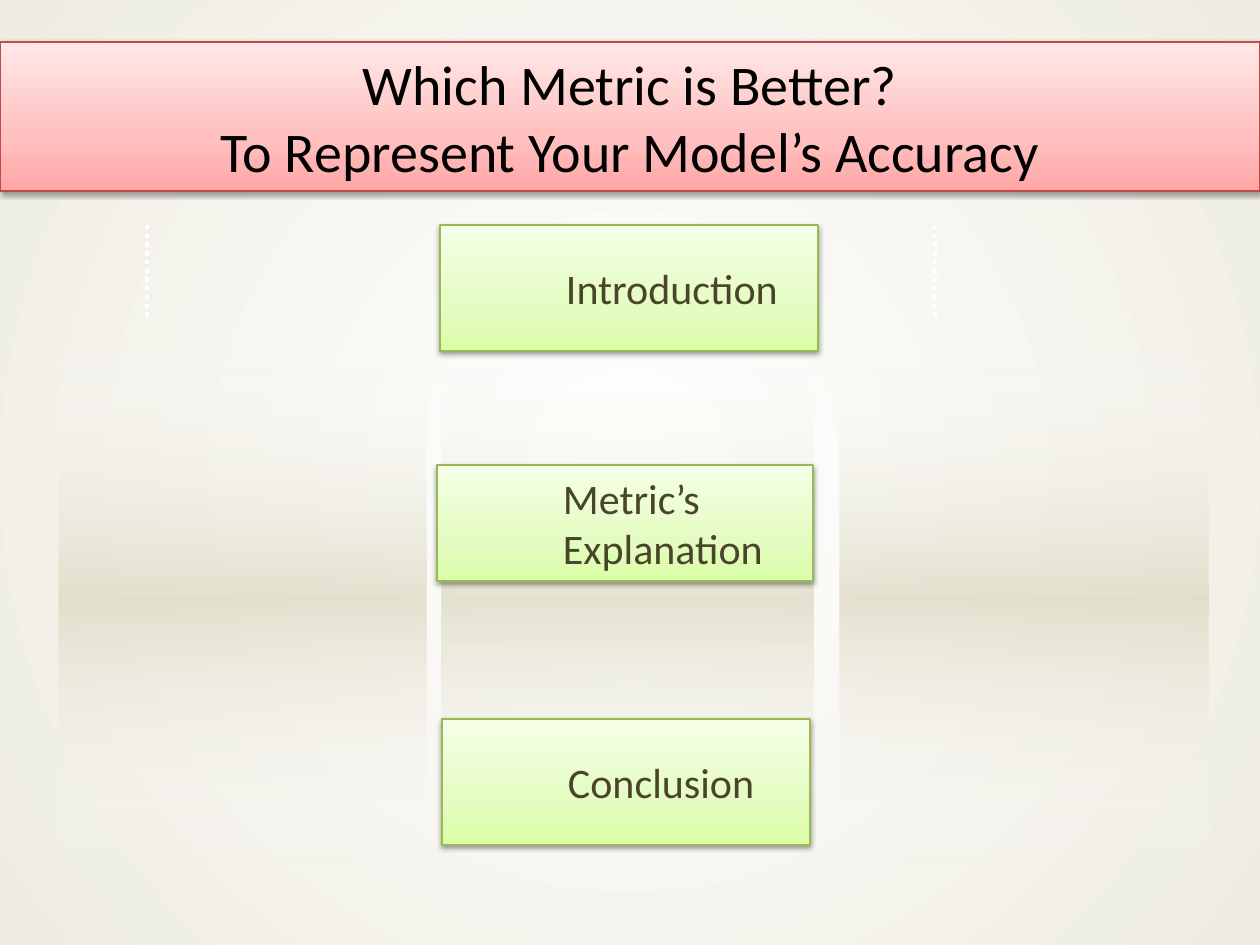
import lxml.etree
import pptx
import pptx.dml.color
import pptx.enum.dml
import pptx.enum.shapes
import pptx.enum.text
import pptx.oxml
import pptx.oxml.ns
import pptx.util

SCALE = 914400 / 126
NS = pptx.oxml.ns.nsdecls("a")
QN = pptx.oxml.ns.qn
RECT = pptx.enum.shapes.MSO_SHAPE.RECTANGLE
ALIGN = pptx.enum.text.PP_ALIGN
DOWN = '<a:lin ang="5400000" scaled="0"/>'
UP = '<a:lin ang="16200000" scaled="0"/>'
RADIAL = ('<a:path path="circle"><a:fillToRect l="50000" t="50000" '
          'r="50000" b="50000"/></a:path>')
PALE = [(0, "FFFFFF", 0), (50, "DDD9C3", 75), (100, "FFFFFF", 0)]
GREEN = [(0, "DAFDA7", 100), (35, "E4FCC2", 100), (100, "F5FFE7", 100)]
RED = [(0, "FFA6A5", 100), (35, "FFC0BF", 100), (100, "FFE7E7", 100)]
PAGE = [(0, "FFFFFF", 100), (100, "EEECE1", 100)]


def px(n):
    """Turn px into EMU."""
    return pptx.util.Emu(round(n * SCALE))


def rgb(value):
    """Turn a hex string into a colour."""
    return pptx.dml.color.RGBColor.from_string(value)


def assign(obj, values):
    """Set attributes from a dict."""
    for name, value in values.items():
        setattr(obj, name, value)


def place(sp, box):
    """Move and size a shape to a px box."""
    assign(sp, dict(zip(("left", "top", "width", "height"), map(px, box))))


def gradient(fill, parent, stops, direction):
    """Give a fill's parent element a gradient."""
    fill.solid()
    gs = "".join(
        f'<a:gs pos="{pos * 1000}"><a:srgbClr val="{color}">'
        f'<a:alpha val="{alpha * 1000}"/></a:srgbClr></a:gs>'
        for pos, color, alpha in stops)
    grad = pptx.oxml.parse_xml(
        f'<a:gradFill {NS} rotWithShape="1"><a:gsLst>{gs}</a:gsLst>{direction}</a:gradFill>')
    parent.replace(parent.find(QN("a:solidFill")), grad)


def raised(sp, stops, line):
    """Give a shape a gradient, a thin outline and a soft shadow."""
    gradient(sp.fill, sp._element.spPr, stops, UP)
    sp.line.color.rgb = rgb(line)
    sp.line.width = pptx.util.Pt(0.75)
    sp.shadow.inherit = False
    sp._element.spPr.find(QN("a:effectLst")).append(pptx.oxml.parse_xml(
        f'<a:outerShdw {NS} blurRad="40000" dist="20000" dir="5400000" rotWithShape="0">'
        '<a:srgbClr val="000000"><a:alpha val="38000"/></a:srgbClr></a:outerShdw>'))


def write(sp, lines, size, color, align, margin_left, margin_right):
    """Write one paragraph per line, centred vertically."""
    tf = sp.text_frame
    assign(tf, {
        "word_wrap": True,
        "auto_size": pptx.enum.text.MSO_AUTO_SIZE.NONE,
        "vertical_anchor": pptx.enum.text.MSO_ANCHOR.MIDDLE,
        "margin_left": px(margin_left), "margin_right": px(margin_right),
        "margin_top": px(6), "margin_bottom": px(6),
    })
    for i, line in enumerate(lines):
        p = tf.paragraphs[0] if i == 0 else tf.add_paragraph()
        p.alignment = align
        r = p.add_run()
        r.text = line
        assign(r.font, {"name": "Calibri", "size": pptx.util.Pt(size)})
        r.font.color.rgb = rgb(color)


def title_band(s, box, lines):
    """Place the title as a full-width red band."""
    sp = s.shapes.title
    place(sp, box)
    raised(sp, RED, "BF4C48")
    write(sp, lines, 32, "000000", ALIGN.CENTER, 13, 13)


def panel(s, box):
    """Add a fading background panel."""
    sp = s.shapes.add_shape(RECT, *map(px, box))
    gradient(sp.fill, sp._element.spPr, PALE, DOWN)
    sp.line.fill.background()
    sp.shadow.inherit = False


def divider(s, x, top, bottom):
    """Add a dotted white vertical line."""
    cx = s.shapes.add_connector(
        pptx.enum.shapes.MSO_CONNECTOR.STRAIGHT, px(x), px(top), px(x), px(bottom))
    cx.line.color.rgb = rgb("FFFFFF")
    assign(cx.line, {"width": pptx.util.Pt(2.5),
                     "dash_style": pptx.enum.dml.MSO_LINE.ROUND_DOT})
    lxml.etree.SubElement(cx._element.spPr, QN("a:effectLst"))


def topic(s, box, lines):
    """Add a green agenda box."""
    sp = s.shapes.add_shape(RECT, *map(px, box))
    raised(sp, GREEN, "98B955")
    write(sp, lines, 24, "4A452A", ALIGN.LEFT, 126, 13)


def agenda_slide(prs):
    """Build the agenda slide."""
    s = prs.slides.add_slide(prs.slide_layouts[5])
    fill = s.background.fill
    fill.solid()
    gradient(fill, s._element.find(".//" + QN("p:bgPr")), PAGE, RADIAL)
    for left, width in ((59, 368), (441, 372), (840, 368)):
        panel(s, (left, 336, width, 525))
    for x in (147, 935):
        divider(s, x, 225, 320)
    for box, lines in (
        ((440, 225, 378, 126), ["Introduction"]),
        ((437, 465, 376, 116), ["Metric’s", "Explanation"]),
        ((442, 719, 368, 126), ["Conclusion"]),
    ):
        topic(s, box, lines)
    title_band(s, (0, 42, 1260, 149),
               ["Which Metric is Better?", "To Represent Your Model’s Accuracy"])


def main():
    """Create and save the presentation."""
    prs = pptx.Presentation()
    assign(prs, {"slide_width": px(1260), "slide_height": px(945)})
    agenda_slide(prs)
    prs.save("out.pptx")


if __name__ == "__main__":
    main()
